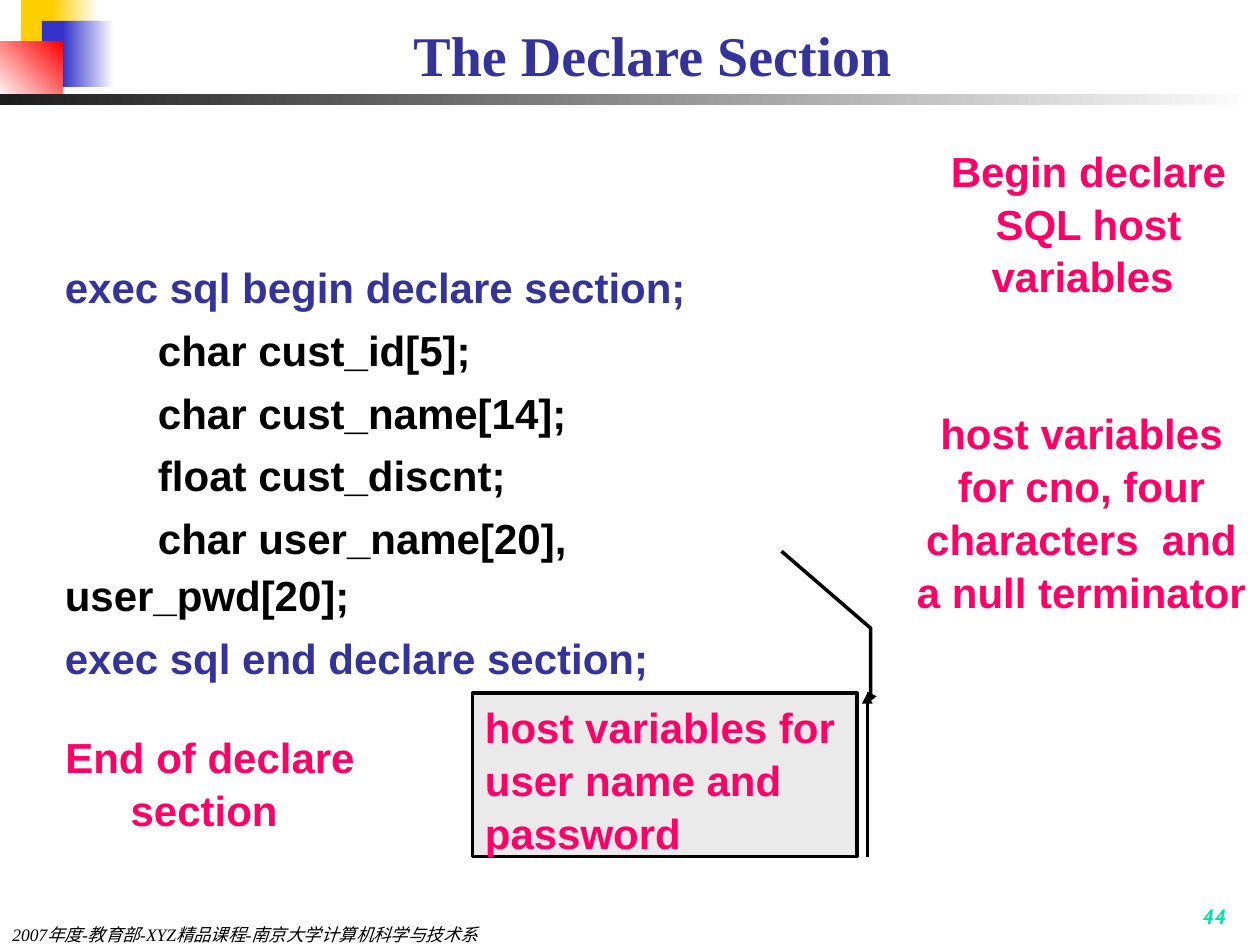
from lxml.etree import SubElement
from pptx import Presentation
from pptx.dml.color import RGBColor
from pptx.enum.shapes import MSO_CONNECTOR, MSO_SHAPE
from pptx.enum.text import MSO_ANCHOR, PP_ALIGN
from pptx.oxml.ns import qn
from pptx.util import Pt

WHITE = RGBColor(0xFF, 0xFF, 0xFF)
BLACK = RGBColor(0, 0, 0)
GOLD = RGBColor(0xFF, 0xCF, 0x01)
BLUE = RGBColor(0x33, 0x33, 0xCC)
NAVY = RGBColor(0x33, 0x33, 0x99)
RED = RGBColor(0xFF, 0, 0)
COAL = RGBColor(0x1C, 0x1C, 0x1C)
GRAY = RGBColor(0xEA, 0xEA, 0xEA)
PINK = RGBColor(0xFF, 0, 0x66)
MINT = RGBColor(0, 0xE4, 0xA8)

CODE = [
    ("exec sql begin declare section;", NAVY),
    ("        char cust_id[5];", BLACK),
    ("        char cust_name[14];", BLACK),
    ("        float cust_discnt;", BLACK),
    ("        char user_name[20], user_pwd[20];", BLACK),
    ("exec sql end declare section;", NAVY),
]
NOTES = [
    ("Begin declare SQL host variables ", (524, 78, 196, 94)),
    ("End of declare section ", (24, 413, 192, 65)),
    ("host variables for cno, four characters  and a null terminator ",
     (516, 228, 204, 122)),
]


def place(box):
    return [Pt(v) for v in box]


def style(para, size, color, face="Arial", bold=True, italic=False):
    font = para.font
    font.name, font.size = face, Pt(size)
    font.bold, font.italic = bold, italic
    font.color.rgb = color


def block(slide, box, fill=None):
    shape = slide.shapes.add_shape(MSO_SHAPE.RECTANGLE, *place(box))
    shape.shadow.inherit = False
    shape.line.fill.background()
    if fill is None:
        shape.fill.background()
    else:
        shape.fill.solid()
        shape.fill.fore_color.rgb = fill
    return shape


def fade(slide, box, start, end, angle=180):
    fill = block(slide, box).fill
    fill.gradient()
    fill.gradient_angle = angle
    for stop, color in zip(fill.gradient_stops, (start, end)):
        stop.color.rgb = color


def banner(slide, box):
    x, y, wide, high = box
    block(slide, (x + 12, y, 35, 37), GOLD)
    fade(slide, (x + 30, y, 26, 37), WHITE, GOLD)
    block(slide, (x + 24, y + 12, 33, 37.5), BLUE)
    fade(slide, (x + 36, y + 12, 29, 37.5), WHITE, BLUE)
    fade(slide, (x, y + 24, 36, 33), RED, WHITE, 225)
    fade(slide, (x, y + high - 6, wide, 6), WHITE, COAL)


def title(slide, box):
    shape = slide.shapes.title
    shape.left, shape.top, shape.width, shape.height = place(box)
    frame = shape.text_frame
    frame.text = "The Declare Section"
    frame.vertical_anchor = MSO_ANCHOR.BOTTOM
    para = frame.paragraphs[0]
    para.alignment = PP_ALIGN.CENTER
    style(para, 32, NAVY, "Times New Roman")


def label(slide, box, text, anchor):
    frame = slide.shapes.add_textbox(*place(box)).text_frame
    frame.word_wrap = True
    frame.vertical_anchor = anchor
    frame.text = text
    return frame


def footer(slide, box):
    x, y, wide, high = box
    frame = label(slide, (x + 558, y, 150, 18), "44", MSO_ANCHOR.BOTTOM)
    para = frame.paragraphs[0]
    para.alignment = PP_ALIGN.RIGHT
    style(para, 12, MINT, "Cabin", italic=True)

    frame = label(slide, (x, y + high - 12, 396, 12),
                  "2007年度-教育部-XYZ精品课程-南京大学计算机科学与技术系",
                  MSO_ANCHOR.TOP)
    frame.margin_top = frame.margin_bottom = 0
    style(frame.paragraphs[0], 10, BLACK, "Times New Roman", False, True)


def listing(slide, box):
    frame = block(slide, box, WHITE).text_frame
    frame.word_wrap = True
    frame.vertical_anchor = MSO_ANCHOR.TOP
    for i, (text, color) in enumerate(CODE):
        para = frame.add_paragraph() if i else frame.paragraphs[0]
        para.text = text
        para.alignment = PP_ALIGN.LEFT
        para.line_spacing = 1.14
        if i:
            para.space_before = Pt(3)
        style(para, 24, color)


def note(slide, box, text, align=PP_ALIGN.CENTER, fill=None):
    shape = block(slide, box, fill)
    frame = shape.text_frame
    frame.word_wrap = True
    frame.vertical_anchor = MSO_ANCHOR.TOP
    frame.text = text
    para = frame.paragraphs[0]
    para.alignment = align
    para.line_spacing = 1.05
    style(para, 24, PINK)
    return shape


def ink(shape):
    shape.line.color.rgb = BLACK
    shape.line.width = Pt(2)


def arrow(shape):
    ink(shape)
    line = shape.line._get_or_add_ln()
    SubElement(line, qn("a:headEnd"), type="triangle")


def callout(slide, box):
    x, y, wide, high = box
    ink(note(slide, box, "host variables for user name and password",
             PP_ALIGN.LEFT, GRAY))
    side = x + wide + 6

    route = [(side, y + 6), (side + 2, y + 6),
             (side + 2, y - 37), (side - 49, y - 81)]
    first, *rest = [place(spot) for spot in route]
    pen = slide.shapes.build_freeform(*first)
    pen.add_line_segments(rest, close=False)
    elbow = pen.convert_to_shape()
    elbow.shadow.inherit = False
    elbow.fill.background()
    arrow(elbow)

    bar = slide.shapes.add_connector(
        MSO_CONNECTOR.STRAIGHT, *place((side, y, side, y + high)))
    arrow(bar)
    SubElement(bar._element.spPr, qn("a:effectLst"))


def main():
    deck = Presentation()
    deck.slide_width, deck.slide_height = Pt(720), Pt(540)
    slide = deck.slides.add_slide(deck.slide_layouts[5])
    banner(slide, (0, 0, 720, 60))
    footer(slide, (0, 516, 720, 24))
    title(slide, (66, 12, 614, 42))
    listing(slide, (30, 142, 468, 244))
    for text, box in NOTES:
        note(slide, box, text)
    callout(slide, (270, 396, 219.6, 93.6))
    deck.save("out.pptx")


if __name__ == "__main__":
    main()
